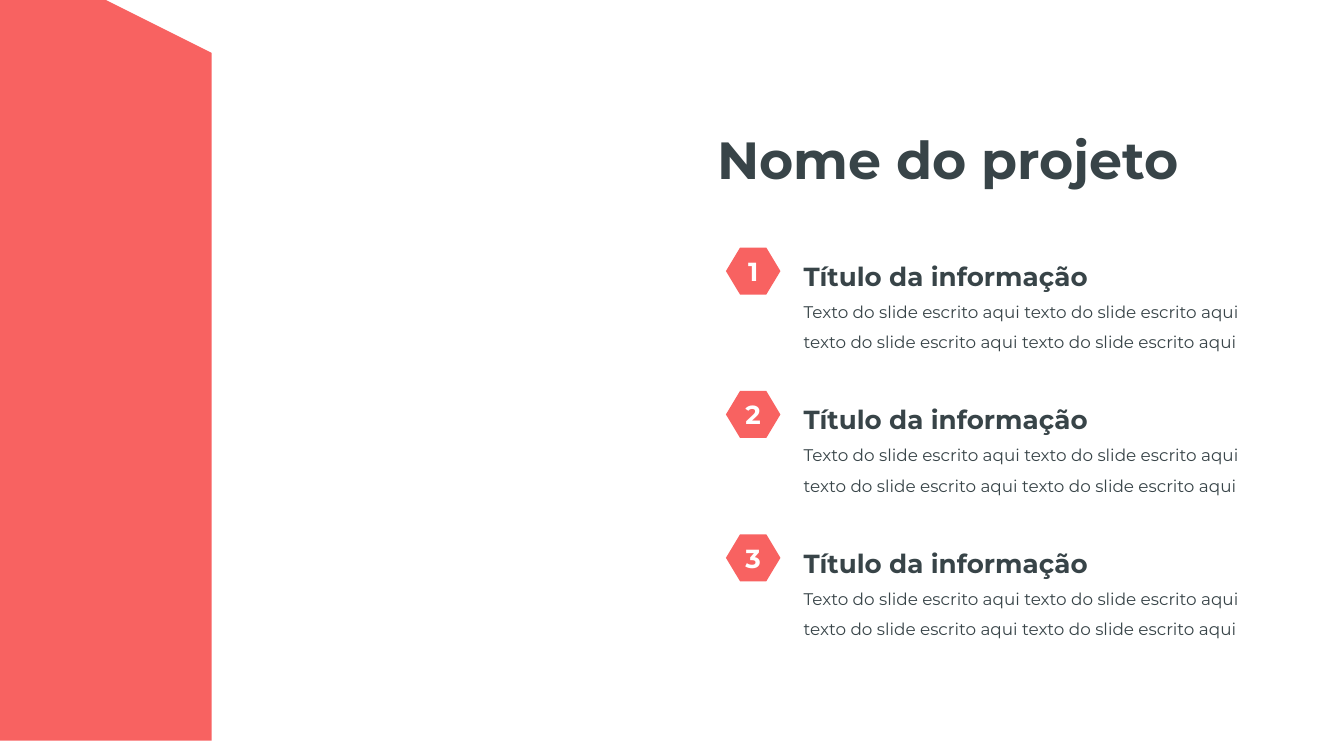
from pptx import Presentation
from pptx import util as u
from pptx.dml.color import RGBColor
from pptx.enum import shapes, text

CORAL, SLATE, WHITE = "F86261", "384448", "FFFFFF"
BODY = " ".join(["Texto do slide escrito aqui"] + ["texto do slide escrito aqui"] * 3)
WIDE, HIGH = 25.4, 14.29


def color(code):
    return RGBColor.from_string(code)


def paint(shape, code):
    shape.shadow.inherit = False
    shape.fill.solid()
    shape.fill.fore_color.rgb = color(code)
    shape.line.fill.background()


def write(par, words, size, code=SLATE, bold=True, **form):
    run = par.add_run()
    run.text = words
    for key, val in dict(name="Montserrat", size=u.Pt(size), bold=bold).items():
        setattr(run.font, key, val)
    run.font.color.rgb = color(code)
    for key, val in form.items():
        setattr(par, key, val)


def add_text(slide, box, **form):
    frame = slide.shapes.add_textbox(*map(u.Cm, box)).text_frame
    form = dict(word_wrap=True, auto_size=text.MSO_AUTO_SIZE.SHAPE_TO_FIT_TEXT) | form
    for key, val in form.items():
        setattr(frame, key, val)
    return frame


def add_band(slide, box):
    """Side band with both right corners cut."""
    x, y, w, h = box
    cut_x, cut_y = 1.32, 0.78
    right, low = x + w, y + h
    pen = slide.shapes.build_freeform(x, y, scale=u.Cm(1))
    pen.add_line_segments([(right - cut_x, y), (right, y + cut_y),
                           (right, low - cut_y), (right - cut_x, low), (x, low)])
    paint(pen.convert_to_shape(), CORAL)


def add_title(slide, box):
    write(add_text(slide, box).paragraphs[0], "Nome do projeto", 28)


def add_item(slide, box, num):
    """Numbered hexagon with a heading and body text on its right."""
    x, y, w, h = box
    indent = 1.22

    # Heading and body
    frame = add_text(slide, (x + indent, y, w - indent, h),
                     vertical_anchor=text.MSO_ANCHOR.MIDDLE)
    write(frame.paragraphs[0], "Título da informação", 14, line_spacing=1.5)
    write(frame.add_paragraph(), BODY, 9, bold=False, line_spacing=1.5)

    # Number badge
    badge = slide.shapes.add_shape(shapes.MSO_SHAPE.HEXAGON, u.Cm(x), u.Cm(y + 0.16),
                                   u.Cm(1.03), u.Cm(0.89))
    badge.adjustments[0] = 0.3
    paint(badge, CORAL)
    frame = badge.text_frame
    for side in ("left", "top", "right", "bottom"):
        setattr(frame, f"margin_{side}", 0)
    frame.vertical_anchor = text.MSO_ANCHOR.MIDDLE
    write(frame.paragraphs[0], str(num), 14, WHITE, alignment=text.PP_ALIGN.CENTER)


def main():
    deck = Presentation()
    deck.slide_width, deck.slide_height = u.Cm(WIDE), u.Cm(HIGH)
    slide = deck.slides.add_slide(deck.slide_layouts[6])

    add_band(slide, (0, 0, 3.78, HIGH))
    add_title(slide, (13.31, 2.29, 10.29, 1.45))

    # Items at an equal pitch
    top, pitch = 4.52, 2.71
    for i in range(3):
        add_item(slide, (13.72, top + i * pitch, 10.16, 2.24), i + 1)

    deck.save("out.pptx")


if __name__ == "__main__":
    main()
